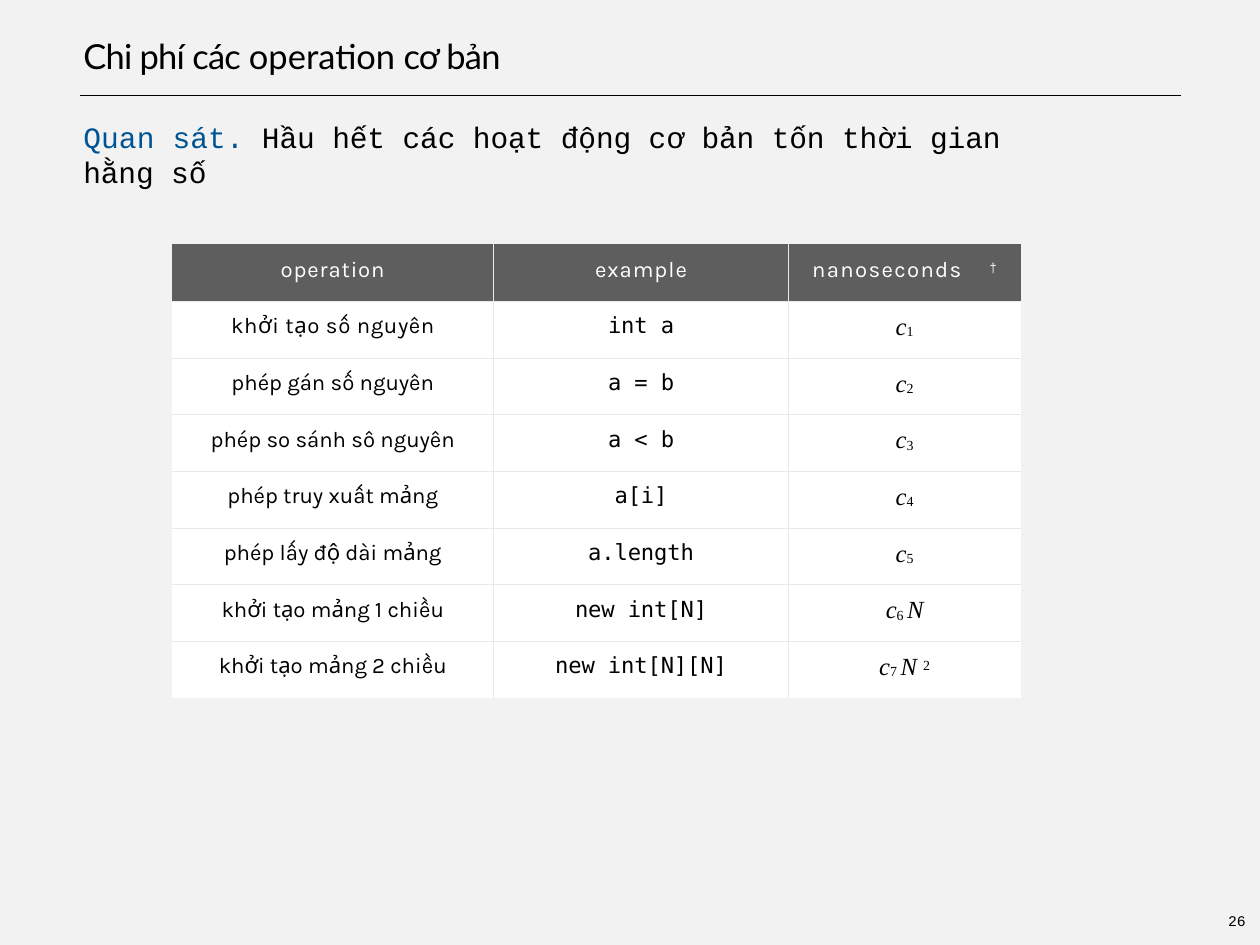
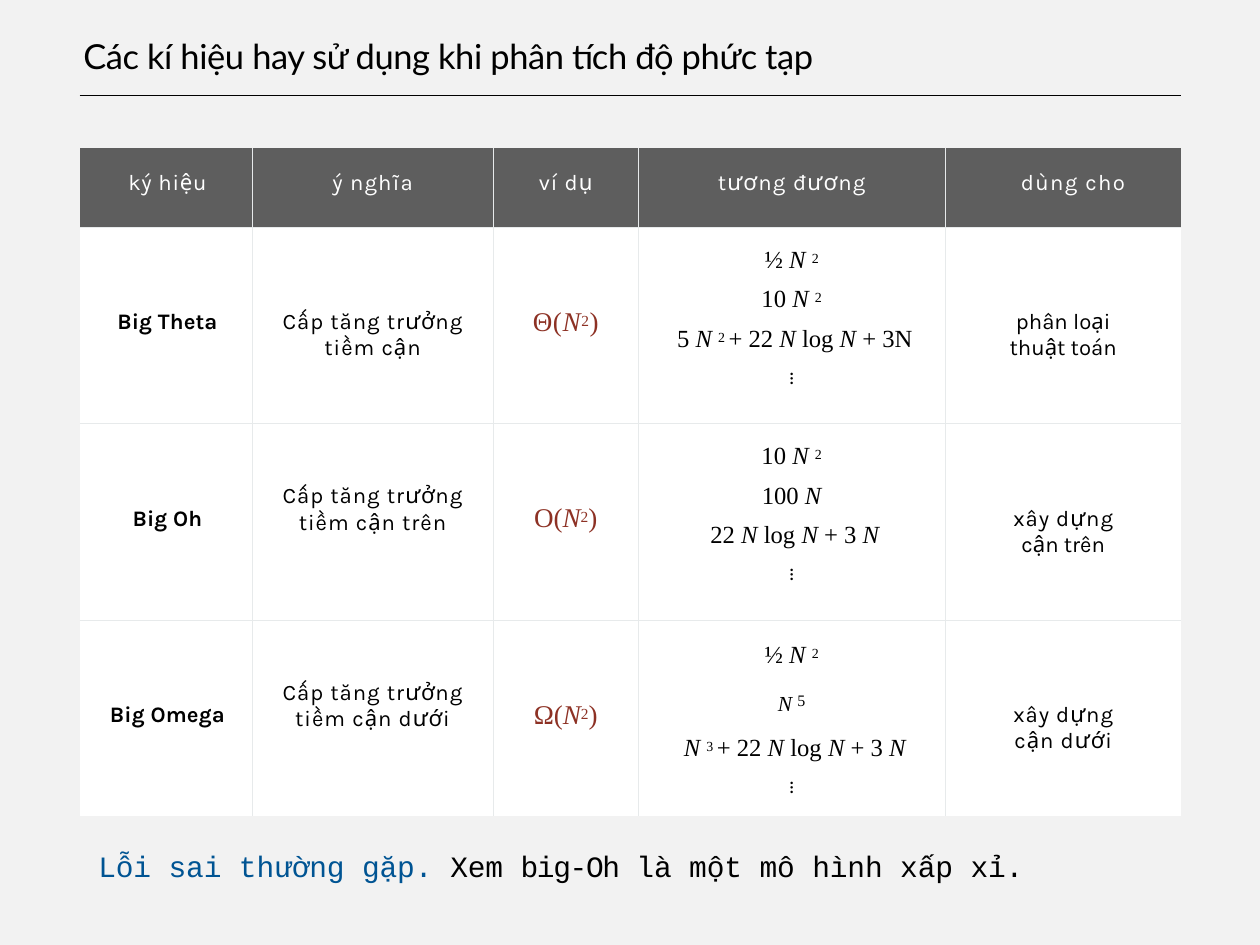
from dataclasses import dataclass
from typing import Optional

from lxml.etree import SubElement
from pptx import Presentation
from pptx.dml.color import RGBColor
from pptx.enum.shapes import MSO_CONNECTOR
from pptx.enum.text import MSO_ANCHOR, PP_ALIGN
from pptx.oxml.ns import qn
from pptx.slide import Slide
from pptx.table import _Cell
from pptx.text.text import TextFrame
from pptx.util import Emu, Pt

PX = 9144  # 100 px to the inch
COLORS = {
    "page": "F2F2F2", "ink": "000000", "paper": "FFFFFF", "header": "5E5E5E",
    "grid": "E7EAEB", "lead": "005493", "formula": "8D3124",
}
TITLE_FONT, TEXT_FONT, MATH_FONT = "Lato", "Karla", "Times New Roman"
CODE_FONT, NOTE_FONT = "DejaVu Sans Mono", "Courier New"


@dataclass(frozen=True)
class Run:
    text: str
    font: str = TEXT_FONT
    size: float = 18
    color: str = "ink"
    spacing: float = 0
    bold: bool = False
    italic: bool = False
    baseline: int = 0


@dataclass(frozen=True)
class Para:
    runs: list[Run]
    before: float = 0
    indent: int = 0
    align: PP_ALIGN = PP_ALIGN.CENTER
    line_spacing: Optional[float] = None
    tab: Optional[int] = None


@dataclass(frozen=True)
class CellText:
    paras: list[Para]
    top: int


def px(length: int) -> Emu:
    return Emu(length * PX)


def rgb(name: str) -> RGBColor:
    return RGBColor.from_string(COLORS[name])


# ---- text ----
def write(frame: TextFrame, paras: list[Para], top: int) -> None:
    for number, para in enumerate(paras):
        line = frame.add_paragraph() if number else frame.paragraphs[0]
        line.alignment = para.align
        if number:
            line.space_before = Pt(para.before)
        if para.line_spacing:
            line.line_spacing = para.line_spacing
        properties = line._p.get_or_add_pPr()
        properties.set("marL", str(px(para.indent)))
        properties.set("indent", "0")
        if para.tab:
            stops = SubElement(properties, qn("a:tabLst"))
            SubElement(stops, qn("a:tab"), pos=str(px(para.tab)), algn="l")
        for part in para.runs:
            run = line.add_run()
            run.text = part.text
            run.font.name, run.font.size = part.font, Pt(part.size)
            run.font.bold, run.font.italic = part.bold, part.italic
            run.font.color.rgb = rgb(part.color)
            attributes = run._r.get_or_add_rPr()
            attributes.set("spc", str(round(part.spacing * 100)))
            if part.baseline:
                attributes.set("baseline", str(part.baseline * 1000))


def fill_frame(frame: TextFrame, para: Para, top: int = 1) -> None:
    frame.word_wrap = True
    frame.vertical_anchor = MSO_ANCHOR.TOP
    frame.margin_left = frame.margin_right = frame.margin_bottom = 0
    frame.margin_top = px(top)
    write(frame, [para], top)


def add_note(slide: Slide, left: int, top: int, width: int, height: int, para: Para) -> None:
    box = slide.shapes.add_textbox(px(left), px(top), px(width), px(height))
    fill_frame(box.text_frame, para)


def note(text: str, color: str = "ink", spacing: float = -0.1, size: float = 24) -> Run:
    return Run(text, NOTE_FONT, size, color, spacing)


def math(*parts: str, size: float = 20, color: str = "ink", spacing: float = 0) -> list[Run]:
    """Set variables in italics, ^ parts raised and _ parts lowered."""
    shifts = {"^": 20, "_": -6}
    runs = []
    for part in parts:
        shift = shifts.get(part[0], 0)
        runs.append(Run(part[1:] if shift else part, MATH_FONT, size - 0.5 if shift else size,
                        color, spacing, italic=part.strip() in ("N", "c"), baseline=shift))
    return runs


# ---- table ----
def style_cell(cell: _Cell, inner_edges: dict[str, bool], fill: str) -> None:
    properties = cell._tc.get_or_add_tcPr()
    for side, inner in inner_edges.items():
        edge = SubElement(properties, qn(f"a:ln{side}"), w=str(Pt(0.25)))
        if inner:
            paint = SubElement(edge, qn("a:solidFill"))
            SubElement(paint, qn("a:srgbClr"), val=COLORS["grid"])
        else:
            SubElement(edge, qn("a:noFill"))
    cell.fill.solid()
    cell.fill.fore_color.rgb = rgb(fill)


def add_grid(slide: Slide, left: int, top: int, widths: list[int], heights: list[int],
             rows: list[list[CellText]]) -> None:
    table = slide.shapes.add_table(len(heights), len(widths), px(left), px(top),
                                   px(sum(widths)), px(sum(heights))).table
    table.first_row = table.horz_banding = False
    for column, width in zip(table.columns, widths):
        column.width = px(width)
    for y, (height, contents) in enumerate(zip(heights, rows)):
        table.rows[y].height = px(height)
        for x, content in enumerate(contents):
            cell = table.cell(y, x)
            cell.margin_left = cell.margin_right = cell.margin_bottom = 0
            cell.margin_top = px(content.top)
            edges = {"L": x > 0, "R": x < len(widths) - 1, "T": y > 0, "B": y < len(heights) - 1}
            style_cell(cell, edges, "paper" if y else "header")
            write(cell.text_frame, content.paras, content.top)


def head(text: str, spacing: float) -> Run:
    return Run(text, color="paper", spacing=spacing)


# ---- shared slide frame ----
def start_slide(deck: Presentation, width: int, title: list[Run]) -> Slide:
    slide = deck.slides.add_slide(deck.slide_layouts[5])
    heading = slide.shapes.title
    heading.left, heading.top, heading.width, heading.height = px(94), px(39), px(width), px(48)
    fill_frame(heading.text_frame, Para(title, align=PP_ALIGN.LEFT))
    rule = slide.shapes.add_connector(MSO_CONNECTOR.STRAIGHT, px(90), px(108), px(1333), px(108))
    rule.line.color.rgb = rgb("ink")
    rule.line.width = Pt(1)
    SubElement(rule._element.spPr, qn("a:effectLst"))
    return slide


def title_run(text: str, spacing: float) -> Run:
    return Run(text, TITLE_FONT, 28, spacing=spacing)


# ---- slide: cost of basic operations ----
def build_costs(deck: Presentation) -> None:
    slide = start_slide(deck, 587, [title_run("Chi phí các ", -0.6), title_run("operation", 0.1),
                                    title_run(" cơ bản", -0.6)])
    add_note(slide, 94, 133, 1059, 42, Para([
        note("Quan sát. ", "lead", 0.1),
        note("Hầu hết các hoạt động cơ bản tốn thời gian hằng số"),
    ], align=PP_ALIGN.LEFT))

    operations = [
        ("khởi tạo số nguyên", "int a", []),
        ("phép gán số nguyên", "a = b", []),
        ("phép so sánh sô nguyên", "a < b", []),
        ("phép truy xuất mảng", "a[i]", []),
        ("phép lấy độ dài mảng", "a.length", []),
        ("khởi tạo mảng 1 chiều", "new int[N]", ["N"]),
        ("khởi tạo mảng 2 chiều", "new int[N][N]", ["N ", "^2"]),
    ]
    dagger = Run("†", NOTE_FONT, color="paper", baseline=21)
    rows = [[Para([head("operation", 0.7)]), Para([head("example", 0.8)]),
             Para([head("nanoseconds\t", 1.1), dagger], tab=175)]]
    for number, (operation, example, factor) in enumerate(operations, 1):
        subscript = f"_{number} " if factor else f"_{number}"
        rows.append([
            Para([Run(operation, spacing=0.5 if number == 1 else 0)]),
            Para([Run(example, CODE_FONT, spacing=-0.1)]),
            Para(math("c", subscript, *factor)),
        ])
    add_grid(slide, 194, 276, [363, 333, 262], [64] * len(rows),
             [[CellText([para], 14) for para in row] for row in rows])
    add_note(slide, 1382, 1029, 29, 23,
             Para([note("26", spacing=0, size=12)], indent=4, align=PP_ALIGN.LEFT))


# ---- slide: asymptotic notations ----
@dataclass(frozen=True)
class Notation:
    name: str
    symbol: str
    meaning: str
    meaning_top: int
    equivalents: list[Para]
    use: list[Run]


def build_notations(deck: Presentation) -> None:
    slide = start_slide(deck, 933,
                        [title_run("Các kí hiệu hay sử dụng khi phân tích độ phức tạp", -0.3)])
    half_square = Para(math("½ ", "N ", "^2"))
    ten_square = Para(math("10 ", "N ", "^2"), 10)
    linearithmic = ["22 ", "N ", "log ", "N ", "+ 3 ", "N"]
    fifth_power = Para([Run("N ", MATH_FONT, 30, italic=True, baseline=-13),
                        Run("5", MATH_FONT, 13, spacing=0.1)], 4.3)
    notations = [
        Notation("Big Theta", "Θ(", "tiềm cận", 93, [
            half_square, ten_square,
            Para(math("5 ", "N ", "^2 ", "+ 22 ", "N ", "log ", "N ", "+ 3N"), 10, 7),
        ], [Run("phân loại"), Run("thuật toán")]),
        Notation("Big Oh", "O(", "tiềm cận trên", 68, [
            ten_square, Para(math("100 ", "N"), 10), Para(math(*linearithmic), 10, 7),
        ], [Run("xây dựng", spacing=0.8), Run("cận trên")]),
        Notation("Big Omega", "Ω(", "tiềm cận dưới", 68, [
            half_square, fifth_power,
            Para(math("N ", "^3 ", "+ 22 ", *linearithmic[1:]), 14.7, 7),
        ], [Run("xây dựng", spacing=0.8), Run("cận dưới", spacing=0.8)]),
    ]
    headings = [("ký hiệu", 0.6, 4), ("ý nghĩa", 0.9, 0), ("ví dụ", 0.8, 0),
                ("tương đương", 1, 0), ("dùng cho", 1.1, 22)]
    rows = [[CellText([Para([head(text, spacing)], indent=indent)], 25)
             for text, spacing, indent in headings]]
    dots = Para([Run("⋮", NOTE_FONT, 20)], 9)
    for item in notations:
        example = math(item.symbol, "N", "^2", ")", size=22, color="formula",
                       spacing=0.5 if item.symbol == "Θ(" else 0)
        meaning = ["Cấp tăng trưởng", item.meaning]
        rows.append([
            CellText([Para([Run(item.name, spacing=0.1, bold=True)], indent=4)], 93),
            CellText([Para([Run(text, spacing=0.8)], 0.2) for text in meaning], item.meaning_top),
            CellText([Para(example)], 91),
            CellText([*item.equivalents, dots], 24 if fifth_power in item.equivalents else 22),
            CellText([Para([run], 0.2) for run in item.use], 93),
        ])
    add_grid(slide, 90, 167, [194, 273, 163, 347, 266], [89] + [222] * len(notations), rows)
    add_note(slide, 111, 942, 1176, 56, Para([
        note("Lỗi sai thường gặp", "lead"), note(". ", "lead", 0),
        note("Xem ", spacing=-0.2), note("big-Oh ", spacing=-1.1),
        note("là một mô hình xấp xỉ."),
    ], align=PP_ALIGN.LEFT, line_spacing=1.35))


def main() -> None:
    deck = Presentation()
    deck.slide_width, deck.slide_height = px(1422), px(1067)
    backdrop = deck.slide_master.background.fill
    backdrop.solid()
    backdrop.fore_color.rgb = rgb("page")
    build_costs(deck)
    build_notations(deck)
    deck.save("out.pptx")


if __name__ == "__main__":
    main()
